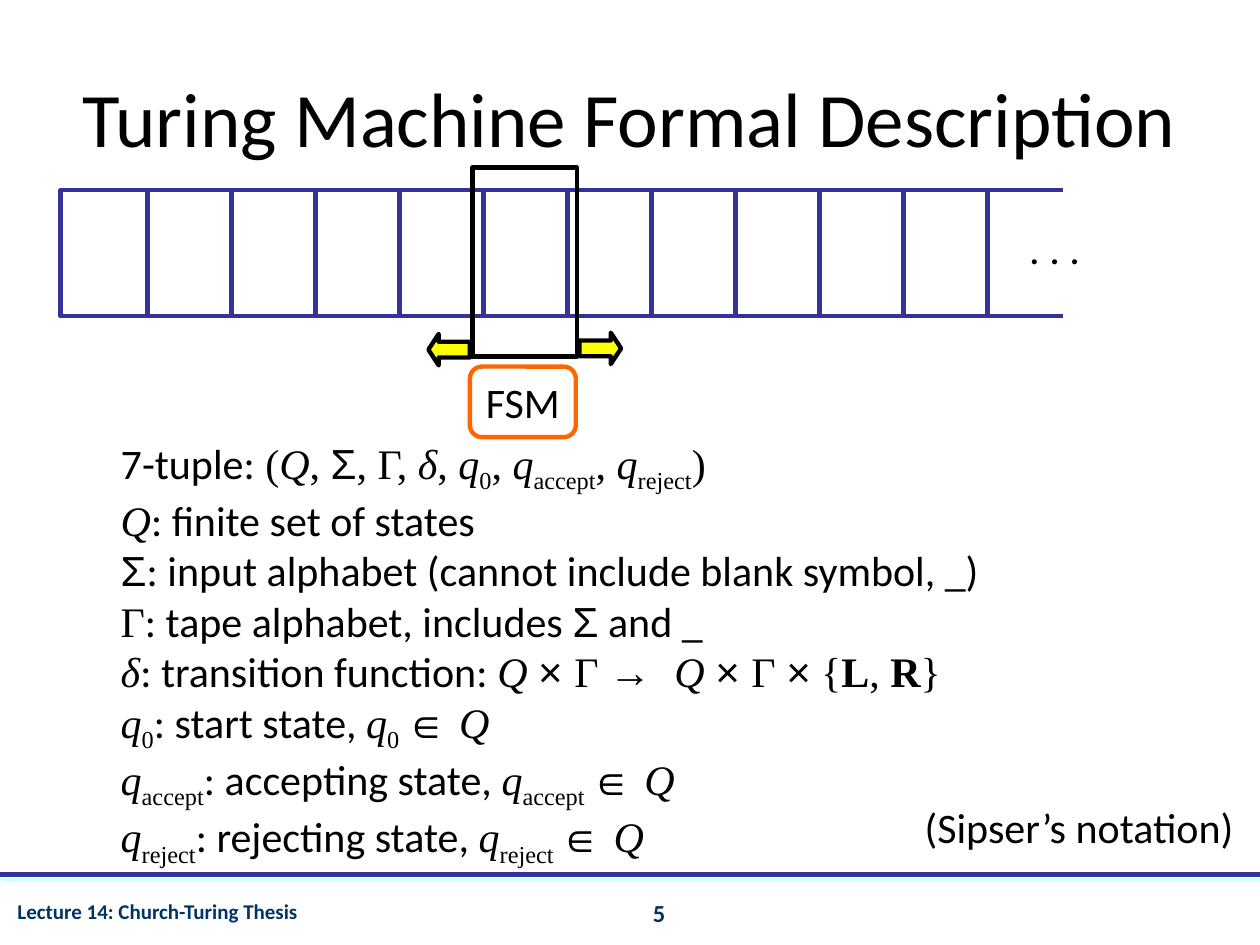
from dataclasses import dataclass
from typing import NamedTuple

from lxml.etree import SubElement
from pptx import Presentation
from pptx.dml.color import RGBColor
from pptx.enum.shapes import MSO_CONNECTOR, MSO_SHAPE
from pptx.enum.text import MSO_ANCHOR, MSO_AUTO_SIZE, PP_ALIGN
from pptx.oxml.ns import qn
from pptx.util import Inches, Pt


@dataclass(frozen=True)
class Theme:
    ink: str = "000000"
    navy: str = "003366"
    tape: str = "333399"
    pale: str = "CCFFFF"
    paper: str = "FFFFFF"
    arrow: str = "FFFF00"
    state: str = "FF6600"
    sans: str = "Calibri"
    serif: str = "Times New Roman"
    symbol: str = "Arial"
    title: int = 44
    body: int = 24
    page: int = 14
    foot: int = 12
    line: float = 2.5


THEME = Theme()


class Box(NamedTuple):
    left: float
    top: float
    width: float
    height: float


class Form(NamedTuple):
    kind: MSO_SHAPE
    box: Box
    line: str
    fill: str | None = None
    adjust: tuple = ()


class Rule(NamedTuple):
    start: tuple
    end: tuple
    color: str = THEME.tape
    width: float = THEME.line


class Label(NamedTuple):
    text: str
    box: Box
    size: int = THEME.body
    color: str = THEME.ink
    bold: bool = False
    align: PP_ALIGN = PP_ALIGN.LEFT
    wrap: bool = False


class Part(NamedTuple):
    text: str
    font: str = THEME.serif
    italic: bool = False
    bold: bool = False
    sub: bool = False


def plain(text: str) -> Part:
    return Part(text, THEME.sans)


def sign(text: str) -> Part:
    return Part(text, THEME.symbol)


def var(text: str) -> Part:
    return Part(text, italic=True)


def state(mark: str) -> list[Part]:
    return [var("q"), Part(mark, sub=True)]


def member(mark: str, role: str) -> list[Part]:
    return [*state(mark), plain(f": {role} state, "), *state(mark + " "),
            sign("∈ "), var("Q")]


def style(para, size: int, color: str, bold: bool | None = None, name: str | None = THEME.sans) -> None:
    font = para.font
    font.size, font.bold, font.name = Pt(size), bold, name
    font.color.rgb = RGBColor.from_string(color)


def place(box: Box) -> list:
    return [Inches(n) for n in box]


def draw_form(slide, form: Form):
    shape = slide.shapes.add_shape(form.kind, *place(form.box))
    shape.shadow.inherit = False
    if form.fill:
        shape.fill.solid()
        shape.fill.fore_color.rgb = RGBColor.from_string(form.fill)
    else:
        shape.fill.background()
    shape.line.color.rgb = RGBColor.from_string(form.line)
    shape.line.width = Pt(THEME.line)
    for i, value in enumerate(form.adjust):
        shape.adjustments[i] = value
    return shape


def draw_rule(slide, rule: Rule) -> None:
    ends = [Inches(n) for n in (*rule.start, *rule.end)]
    line = slide.shapes.add_connector(MSO_CONNECTOR.STRAIGHT, *ends)
    line.line.color.rgb = RGBColor.from_string(rule.color)
    line.line.width = Pt(rule.width)
    SubElement(line._element.spPr, qn("a:effectLst"))


def add_frame(slide, box: Box, wrap: bool = False):
    frame = slide.shapes.add_textbox(*place(box)).text_frame
    frame.word_wrap = wrap
    frame.auto_size = MSO_AUTO_SIZE.NONE if wrap else MSO_AUTO_SIZE.SHAPE_TO_FIT_TEXT
    return frame


def draw_label(slide, label: Label) -> None:
    para = add_frame(slide, label.box, label.wrap).paragraphs[0]
    para.text, para.alignment = label.text, label.align
    style(para, label.size, label.color, label.bold)


def draw_lines(slide, box: Box, lines: list[list[Part]]) -> None:
    frame = add_frame(slide, box)
    for i, parts in enumerate(lines):
        para = frame.add_paragraph() if i else frame.paragraphs[0]
        style(para, THEME.body, THEME.ink, name=None)
        for part in parts:
            run = para.add_run()
            run.text, run.font.name = part.text, part.font
            run.font.italic, run.font.bold = part.italic, part.bold
            if part.sub:
                run._r.get_or_add_rPr().set("baseline", "-25000")


LINES = [
    [plain("7-tuple:"), Part(" ("), var("Q"), Part(", "), sign("Σ"), Part(", Γ, "),
     var("δ"), Part(", "), *state("0"), Part(", "), *state("accept"), Part(", "),
     *state("reject"), Part(")")],
    [var("Q"), plain(": finite set of states")],
    [sign("Σ"), plain(": input alphabet (cannot include blank symbol, _)")],
    [Part("Γ"), plain(": tape alphabet, includes "), sign("Σ"), plain(" and _")],
    [var("δ"), plain(": transition function: "), var("Q "), sign("× "), Part("Γ "),
     sign("→  "), var("Q "), sign("× "), Part("Γ "), sign("×"), Part(" {"),
     Part("L", bold=True), Part(", "), Part("R", bold=True), Part("}")],
    member("0", "start"),
    member("accept", "accepting"),
    member("reject", "rejecting"),
]


def main() -> None:
    deck = Presentation()
    deck.slide_width, deck.slide_height = Inches(10), Inches(7.5)
    slide = deck.slides.add_slide(deck.slide_layouts[5])

    # Footer
    draw_label(slide, Label("5", Box(4.19, 7.08, 2.08, 0.37), THEME.page, THEME.navy,
                            True, PP_ALIGN.CENTER, True))
    draw_label(slide, Label("Lecture 14: Church-Turing Thesis", Box(0.04, 7.08, 4.29, 0.36),
                            THEME.foot, THEME.navy, True, wrap=True))
    draw_rule(slide, Rule((0, 6.94), (10, 6.94)))
    draw_rule(slide, Rule((0.01, 6.98), (10.01, 6.98), THEME.pale, 1.5))

    # Title
    title = slide.shapes.title
    title.left, title.top, title.width, title.height = place(Box(0.5, 0.3, 9, 1.25))
    frame = title.text_frame
    frame.text = "Turing Machine Formal Description"
    frame.vertical_anchor, frame.auto_size = MSO_ANCHOR.MIDDLE, MSO_AUTO_SIZE.NONE
    frame.paragraphs[0].alignment = PP_ALIGN.CENTER
    style(frame.paragraphs[0], THEME.title, THEME.ink)

    # Tape, with its right end left open
    draw_form(slide, Form(MSO_SHAPE.RECTANGLE, Box(0.48, 1.51, 8.83, 1), THEME.tape))
    for i in range(11):
        x = 1.17 + i * 2 / 3
        draw_rule(slide, Rule((x, 1.5), (x, 2.5)))
    draw_form(slide, Form(MSO_SHAPE.RECTANGLE, Box(8.45, 1.33, 1.22, 1.42),
                          THEME.paper, THEME.paper))
    draw_label(slide, Label(". . .", Box(8.07, 1.72, 0.6, 0.5)))

    # Head and its moves
    draw_form(slide, Form(MSO_SHAPE.RECTANGLE, Box(3.75, 1.33, 0.83, 1.5), THEME.ink))
    for kind, x, y in ((MSO_SHAPE.LEFT_ARROW, 3.4, 2.65), (MSO_SHAPE.RIGHT_ARROW, 4.6, 2.64)):
        draw_form(slide, Form(kind, Box(x, y, 0.33, 0.25), THEME.ink, THEME.arrow, (0.5, 0.33)))

    # Finite state machine
    fsm = draw_form(slide, Form(MSO_SHAPE.ROUNDED_RECTANGLE, Box(3.73, 2.91, 0.84, 0.56),
                                THEME.state, adjust=(0.17,)))
    frame = fsm.text_frame
    frame.text, frame.word_wrap = "FSM", False
    frame.vertical_anchor = MSO_ANCHOR.MIDDLE
    frame.paragraphs[0].alignment = PP_ALIGN.CENTER
    style(frame.paragraphs[0], THEME.body, THEME.ink)

    # Definition
    draw_lines(slide, Box(0.86, 3.42, 7.01, 3.52), LINES)
    draw_label(slide, Label("(Sipser’s notation)", Box(7.24, 6.31, 2.66, 0.5)))

    deck.save("out.pptx")


if __name__ == "__main__":
    main()
